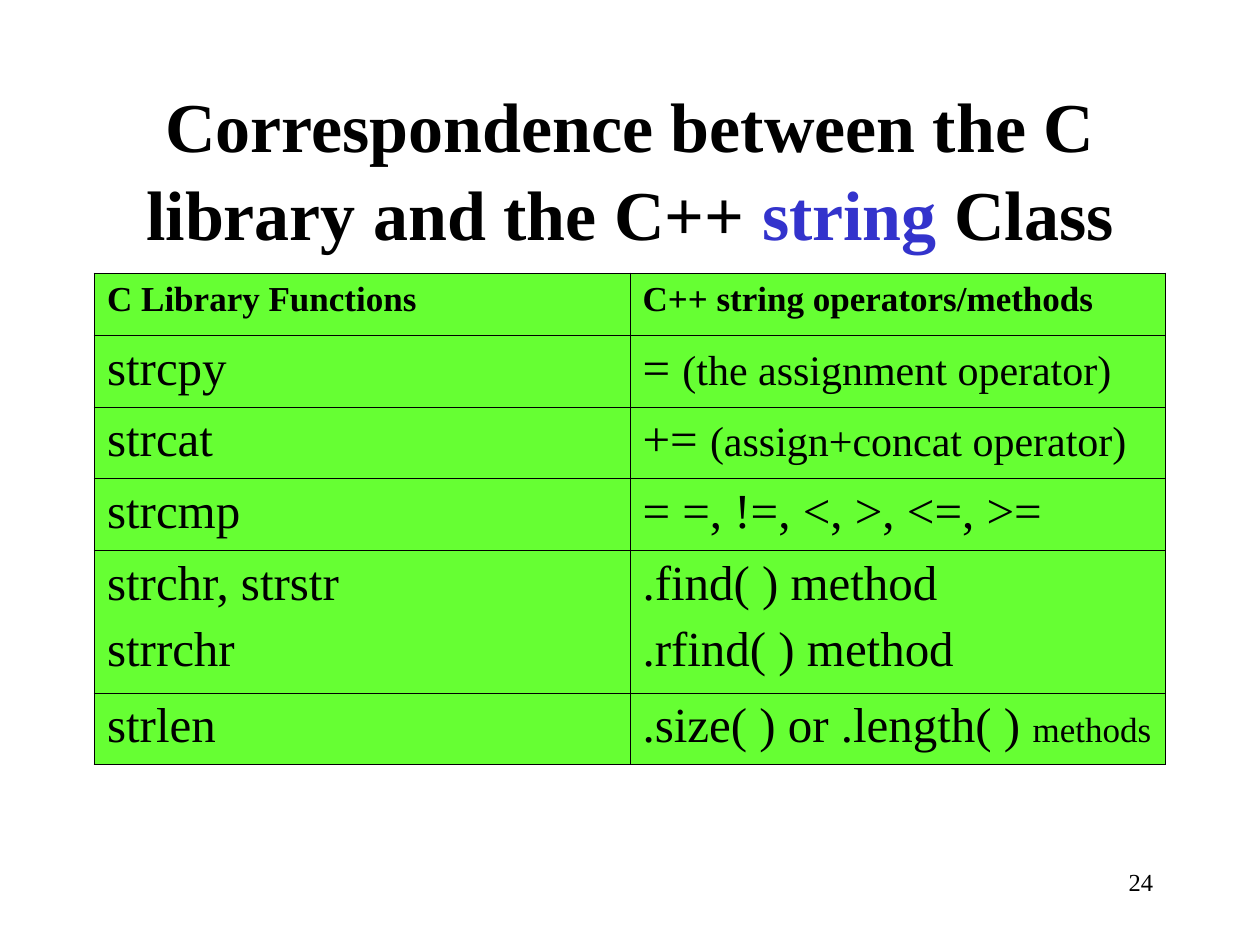
from lxml import etree
from pptx import Presentation
from pptx.dml.color import RGBColor
from pptx.enum.text import MSO_ANCHOR as Anchor, MSO_AUTO_SIZE as AutoSize, PP_ALIGN as Align
from pptx.oxml.ns import qn
from pptx.util import Inches, Pt

FONT = "Times New Roman"
BLACK, BLUE, GREEN = "000000", "3333CC", "66FF33"
THICK, THIN = 1.08, 0.45
ROW_HEIGHTS = [0.49, 0.57, 0.57, 0.57, 1.13, 0.57]

# Each cell is a list of paragraphs, each paragraph a list of (text, size) spans.
ROWS = [
    ([[("C Library Functions", 20)]], [[("C++ string operators/methods", 20)]]),
    ([[("strcpy", 28)]], [[("= ", 28), ("(the assignment operator)", 24)]]),
    ([[("strcat", 28)]], [[("+= ", 28), ("(assign+concat operator)", 24)]]),
    ([[("strcmp", 28)]], [[("= =, !=, <, >, <=, >=", 28)]]),
    ([[("strchr, strstr", 28)], [("strrchr", 28)]],
     [[(".find( ) method", 28)], [(".rfind( ) method", 28)]]),
    ([[("strlen", 28)]], [[(".size( ) or .length( ) ", 28), ("methods", 20)]]),
]


def color(value):
    return RGBColor.from_string(value)


def set_font(font, size, bold=False):
    font.name, font.size, font.bold = FONT, Pt(size), bold
    font.color.rgb = color(BLACK)


def place(shape, left, top, width, height):
    shape.left, shape.top = Inches(left), Inches(top)
    shape.width, shape.height = Inches(width), Inches(height)


def add_title(page, box):
    title = page.shapes.title
    place(title, *box)
    frame = title.text_frame
    frame.auto_size, frame.word_wrap = AutoSize.NONE, True
    frame.vertical_anchor = Anchor.MIDDLE
    frame.margin_top, frame.margin_bottom = Inches(0.1), Inches(0.04)
    para = frame.paragraphs[0]
    para.alignment, para.line_spacing = Align.CENTER, 1.04
    set_font(para.font, 40, bold=True)
    for text, tint in [("Correspondence between the C library and the C++ ", BLACK),
                       ("string", BLUE), (" Class", BLACK)]:
        span = para.add_run()
        span.text = text
        span.font.color.rgb = color(tint)


def set_borders(cell, widths):
    """Draw the cell's edges; widths are left, right, top and bottom in points."""
    props = cell._tc.get_or_add_tcPr()
    for index, (edge, width) in enumerate(zip(("lnL", "lnR", "lnT", "lnB"), widths)):
        line = etree.Element(qn(f"a:{edge}"), w=str(int(Pt(width))))
        fill = etree.SubElement(line, qn("a:solidFill"))
        etree.SubElement(fill, qn("a:srgbClr"), val=BLACK)
        props.insert(index, line)


def fill_cell(cell, paragraphs, bold):
    cell.fill.solid()
    cell.fill.fore_color.rgb = color(GREEN)
    frame = cell.text_frame
    for index, spans in enumerate(paragraphs):
        para = frame.add_paragraph() if index else frame.paragraphs[0]
        if index:
            para.space_before = Pt(7)
        set_font(para.font, spans[0][1], bold)
        for text, size in spans:
            span = para.add_run()
            span.text, span.font.size = text, Pt(size)


def add_function_table(page, box):
    left, top, width, height = map(Inches, box)
    last_row, last_column = len(ROWS) - 1, len(ROWS[0]) - 1
    table = page.shapes.add_table(len(ROWS), len(ROWS[0]), left, top, width, height).table
    table.horz_banding = False
    for column in table.columns:
        column.width = width // len(ROWS[0])
    for r, (cells, row_height) in enumerate(zip(ROWS, ROW_HEIGHTS)):
        table.rows[r].height = Inches(row_height)
        for c, paragraphs in enumerate(cells):
            cell = table.cell(r, c)
            fill_cell(cell, paragraphs, bold=r == 0)
            outer = (c == 0, c == last_column, r == 0, r == last_row)
            set_borders(cell, [THICK if edge else THIN for edge in outer])


def add_page_number(page, box):
    frame = page.shapes.add_textbox(*map(Inches, box)).text_frame
    frame.word_wrap = True
    para = frame.paragraphs[0]
    para.text, para.alignment = "24", Align.RIGHT
    set_font(para.font, 14)


def main():
    deck = Presentation()
    deck.slide_width, deck.slide_height = Inches(10), Inches(7.5)
    page = deck.slides.add_slide(deck.slide_layouts[5])
    add_title(page, (0.75, 0.67, 8.5, 1.25))
    add_function_table(page, (0.75, 2.17, 8.5, sum(ROW_HEIGHTS)))
    add_page_number(page, (7.17, 6.83, 2.08, 0.5))
    deck.save("out.pptx")


if __name__ == "__main__":
    main()
